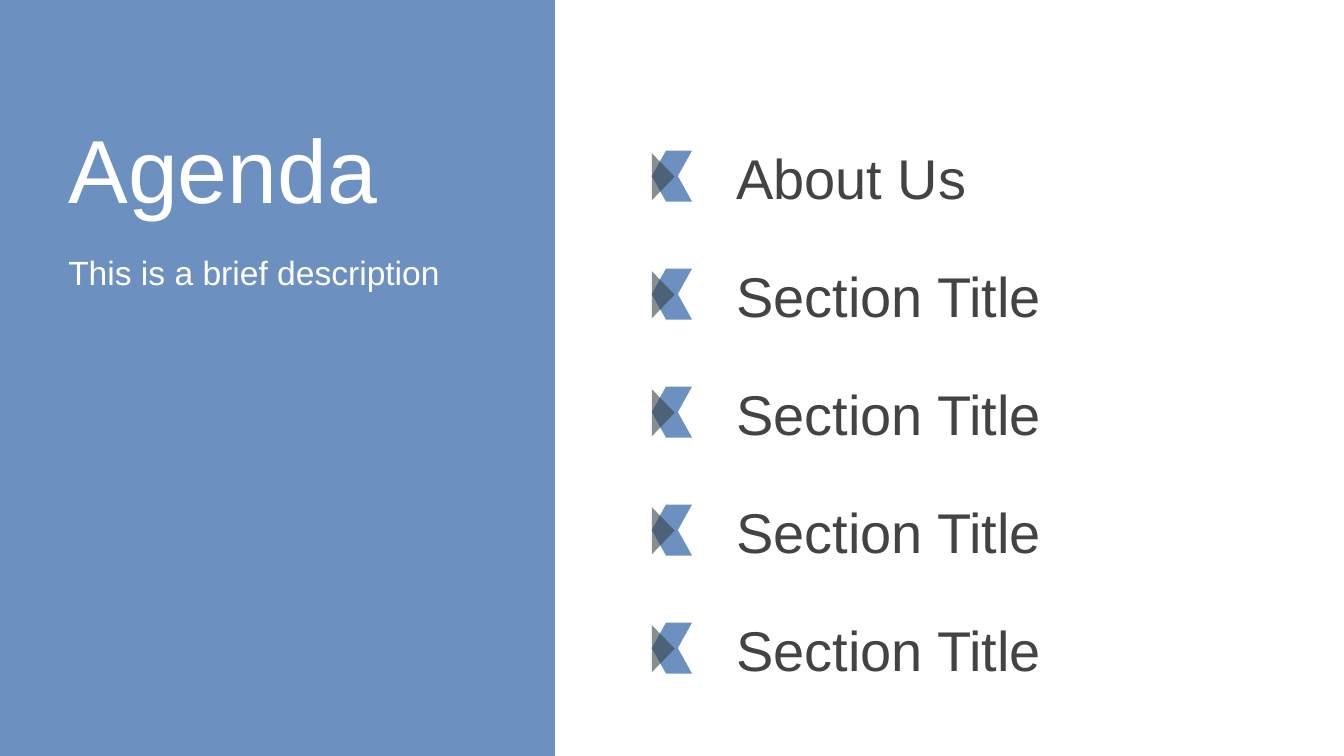
from pptx import Presentation
from pptx.dml.color import RGBColor
from pptx.enum.shapes import MSO_SHAPE
from pptx.enum.text import MSO_ANCHOR, MSO_AUTO_SIZE, PP_ALIGN
from pptx.oxml.ns import qn
from pptx.util import Inches, Pt
from lxml import etree

RECT = MSO_SHAPE.RECTANGLE
SLANT = MSO_SHAPE.PARALLELOGRAM
WEDGE = MSO_SHAPE.ISOSCELES_TRIANGLE
TOP, MIDDLE = MSO_ANCHOR.TOP, MSO_ANCHOR.MIDDLE
LEFT = PP_ALIGN.LEFT
NO_FIT = MSO_AUTO_SIZE.NONE

BLUE, SLATE, WHITE, GREY = "5E85B9", "38444A", "FFFFFF", "434343"
WIDTH = 10
HEIGHT = WIDTH * 9 / 16
ITEMS = ["About Us"] + ["Section Title"] * 4
PITCH = 0.878


def color(text):
    return RGBColor.from_string(text)


def add_solid(shapes, kind, box, fill, alpha, adj=None):
    """Add a borderless shape; alpha is its opacity in percent."""
    shape = shapes.add_shape(kind, *map(Inches, box))
    shape.shadow.inherit = False
    shape.line.fill.background()
    shape.fill.solid()
    shape.fill.fore_color.rgb = color(fill)
    tint = shape.fill._xPr.find(qn("a:solidFill"))[0]
    etree.SubElement(tint, qn("a:alpha")).set("val", str(alpha * 1000))
    if adj is not None:
        shape.adjustments[0] = adj
    return shape


def set_text(shape, text, size, ink, anchor=TOP, **spacing):
    frame = shape.text_frame
    layout = {"word_wrap": True, "auto_size": NO_FIT, "vertical_anchor": anchor}
    for side in ("left", "top", "right", "bottom"):
        layout["margin_" + side] = Inches(0.1)
    for name, value in layout.items():
        setattr(frame, name, value)
    frame.text = text
    para = frame.paragraphs[0]
    for name, value in {"alignment": LEFT, "space_before": Pt(0),
                        "line_spacing": 1.0, **spacing}.items():
        setattr(para, name, value)
    font = para.runs[0].font
    for name, value in {"name": "Arial", "size": Pt(size), "bold": False}.items():
        setattr(font, name, value)
    font.color.rgb = color(ink)


def add_intro(slide, x, y, w, h):
    """Fill the side panel with the title and its description."""
    panel = add_solid(slide.shapes, RECT, (x, y, w, h), BLUE, 91)
    slide.shapes._spTree.insert(2, panel._element)  # behind the title
    title = slide.shapes.title
    place = {"left": x + 0.41, "top": y + 0.75, "width": 3.92, "height": 1.93}
    for name, value in place.items():
        setattr(title, name, Inches(value))
    set_text(title, "Agenda", 48, WHITE)
    note = slide.shapes.add_textbox(
        *map(Inches, (x + 0.41, y + 1.73, 3.37, 0.53)))
    set_text(note, "This is a brief description", 18, WHITE,
             line_spacing=1.15, space_after=Pt(16))


def add_marker(slide, x, y):
    shapes = slide.shapes.add_group_shape().shapes
    for row in range(2):
        slant = add_solid(shapes, SLANT, (x, y + row * 0.19, 0.3, 0.19),
                          BLUE, 91, 0.559)
    slant._element.spPr.find(qn("a:xfrm")).set("flipH", "1")
    wedge = add_solid(shapes, WEDGE, (x - 0.09, y + 0.11, 0.35, 0.17),
                      SLATE, 60, 0.5)
    wedge.rotation = 90


def add_agenda(slide, x, y, w):
    for row, text in enumerate(ITEMS):
        top = y + row * PITCH
        add_marker(slide, x, top + 0.06)
        label = slide.shapes.add_textbox(
            *map(Inches, (x + 0.53, top, w - 0.53, 0.51)))
        set_text(label, text, 30, GREY, MIDDLE)


def main():
    deck = Presentation()
    deck.slide_width, deck.slide_height = Inches(WIDTH), Inches(HEIGHT)
    slide = deck.slides.add_slide(deck.slide_layouts[5])
    add_intro(slide, 0, 0, 4.13, HEIGHT)
    add_agenda(slide, 4.85, 1.06, 4.38)
    deck.save("out.pptx")


if __name__ == "__main__":
    main()
